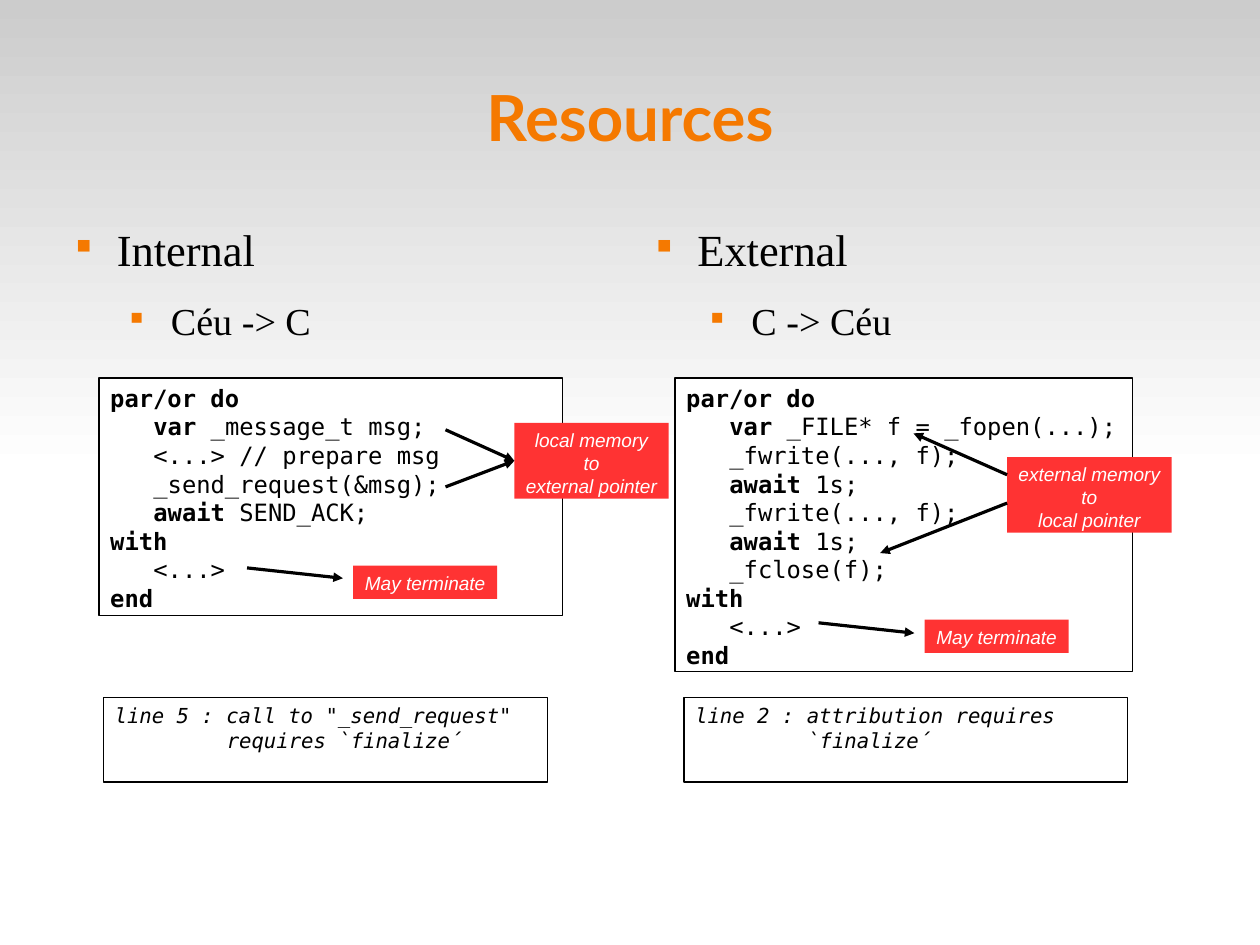
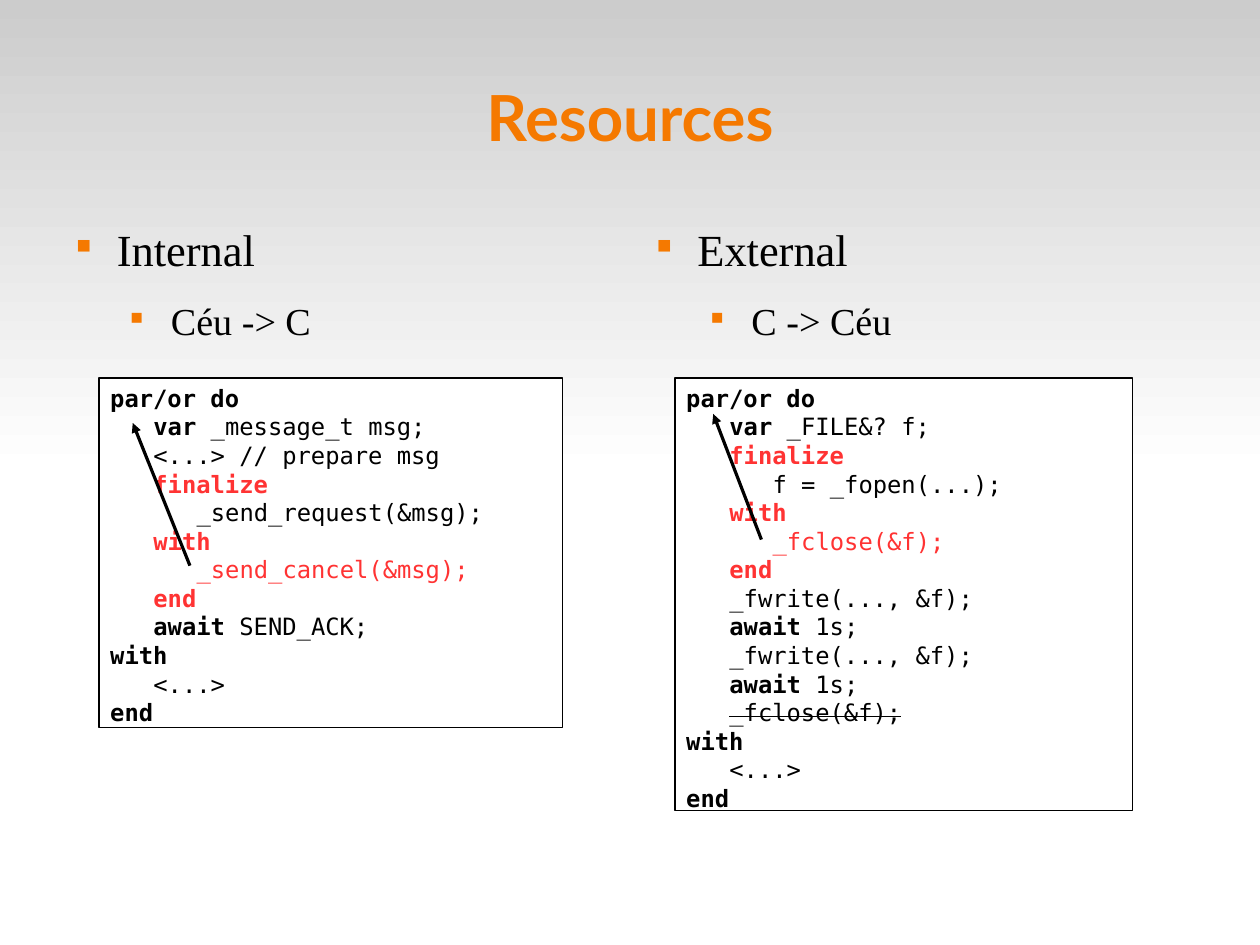
from typing import NamedTuple, Optional

from lxml import etree
from pptx import Presentation
from pptx import util as u
from pptx.dml.color import RGBColor
from pptx.enum import shapes, text
from pptx.oxml import ns

Cm, Pt = u.Cm, u.Pt
BLACK, WHITE, RED, ORANGE, GREY = "000000", "FFFFFF", "FF3333", "F57900", "CCCCCC"
TITLE = dict(name="Lato", size=Pt(40), bold=True)
CODE = dict(name="DejaVu Sans Mono", size=Pt(15))
ERROR = dict(name="DejaVu Sans Mono", size=Pt(13), italic=True)
NOTE = dict(name="Arial", size=Pt(12), italic=True)
FLAT = dict(margin_left=0, margin_right=0, margin_top=0, margin_bottom=0,
            word_wrap=True)
KEYS = ("par/or do", "var", "await", "finalize", "with", "end")
TAB, HANG = 0.96, 2.49
PITCH, PAD = 0.62, 0.32
TOP = 8.4


class Box(NamedTuple):
    x: float
    y: float
    w: float
    h: float


class Line(NamedTuple):
    level: int
    words: str
    color: str = BLACK
    strike: bool = False


class Note(NamedTuple):
    box: Box
    lines: tuple[str, ...]


class Arrow(NamedTuple):
    x: float
    y: float
    to_x: float
    to_y: float
    note: Optional[int] = None  # index of the note whose left side it meets


class Topic(NamedTuple):
    head: str
    sub: str
    left: float
    code_x: float
    code_w: float


class Page(NamedTuple):
    codes: tuple[tuple[Line, ...], ...]
    arrows: tuple[Arrow, ...]
    notes: tuple[Note, ...] = ()
    errors: tuple[str, ...] = ()


TOPICS = (Topic("Internal", "Céu -> C", 1.4, 2.2, 10.3),
          Topic("External", "C -> Céu", 14.3, 15, 10.16))
OPEN = Line(0, "par/or do")
CLOSE = (Line(0, "with"), Line(1, "<...>"), Line(0, "end"))
MSG = (OPEN, Line(1, "var _message_t msg;"), Line(1, "<...> // prepare msg"))
ACK = (Line(1, "await SEND_ACK;"), *CLOSE)
WAIT = Line(1, "await 1s;")

PAGES = (
    Page(
        codes=(
            (*MSG, Line(1, "_send_request(&msg);"), *ACK),
            (OPEN, Line(1, "var _FILE* f = _fopen(...);"),
             *(Line(1, "_fwrite(..., f);"), WAIT) * 2,
             Line(1, "_fclose(f);"), *CLOSE),
        ),
        notes=(
            Note(Box(11.43, 9.4, 3.43, 1.68),
                 ("local memory", "to", "external pointer")),
            Note(Box(22.38, 10.16, 3.66, 1.68),
                 ("external memory", "to", "local pointer")),
            Note(Box(7.85, 12.57, 3.2, 0.74), ("May terminate",)),
            Note(Box(20.55, 13.77, 3.2, 0.74), ("May terminate",)),
        ),
        arrows=(
            Arrow(9.9, 9.55, 11.43, 10.24, 0),
            Arrow(9.9, 10.82, 11.43, 10.24, 0),
            Arrow(22.38, 10.55, 20.3, 9.63),
            Arrow(22.38, 11.18, 19.56, 12.29),
            Arrow(5.49, 12.62, 7.62, 12.85),
            Arrow(18.19, 13.84, 20.32, 14.07),
        ),
        errors=('line 5 : call to "_send_request" requires `finalize´',
                "line 2 : attribution requires `finalize´"),
    ),
    Page(
        codes=(
            (*MSG, Line(1, "finalize", RED), Line(2, "_send_request(&msg);"),
             Line(1, "with", RED), Line(2, "_send_cancel(&msg);", RED),
             Line(1, "end", RED), *ACK),
            (OPEN, Line(1, "var _FILE&? f;"), Line(1, "finalize", RED),
             Line(2, "f = _fopen(...);"), Line(1, "with", RED),
             Line(2, "_fclose(&f);", RED), Line(1, "end", RED),
             *(Line(1, "_fwrite(..., &f);"), WAIT) * 2,
             Line(1, "_fclose(&f);", strike=True), *CLOSE),
        ),
        arrows=(Arrow(4.22, 12.57, 2.95, 9.4),
                Arrow(16.92, 11.99, 15.85, 9.2)),
    ),
)


def rgb(code: str) -> RGBColor:
    return RGBColor.from_string(code)


def apply(item, look: dict) -> None:
    for name, value in look.items():
        setattr(item, name, value)


def sub(node, tag: str, **attrs: str):
    return etree.SubElement(node, ns.qn(tag), attrs)


def write(para, words: str, look: dict, color: str = BLACK):
    run = para.add_run()
    run.text = words
    apply(run.font, look)
    run.font.color.rgb = rgb(color)
    return run


def indent(para, left: float, first: float = 0):
    """Set the left margin and first-line offset in cm."""
    props = para._p.get_or_add_pPr()
    props.set("marL", str(Cm(left)))
    props.set("indent", str(Cm(first)))
    return props


def paras(frame, count: int) -> list:
    return [frame.paragraphs[0], *(frame.add_paragraph() for _ in range(count - 1))]


def place(box: Box) -> tuple:
    return tuple(Cm(n) for n in box)


def panel(slide, box: Box, fill: str, edge: str = ""):
    shape = slide.shapes.add_shape(shapes.MSO_SHAPE.RECTANGLE, *place(box))
    shape.shadow.inherit = False
    shape.fill.solid()
    shape.fill.fore_color.rgb = rgb(fill)
    if edge:
        shape.line.color.rgb = rgb(edge)
        shape.line.width = 0
    else:
        shape.line.fill.background()
    apply(shape.text_frame, dict(vertical_anchor=text.MSO_ANCHOR.TOP, word_wrap=True))
    shape.text_frame.paragraphs[0].alignment = text.PP_ALIGN.LEFT
    return shape


def frame(slide) -> None:
    """Draw the shaded band and the title."""
    band = panel(slide, Box(0, 0, 28, 10.5), GREY)
    band.fill.gradient()
    band.fill.gradient_angle = 270
    for stop, color, spot in zip(band.fill.gradient_stops, (GREY, WHITE), (0, 1)):
        stop.color.rgb = rgb(color)
        stop.position = spot
    body = slide.shapes.add_textbox(*place(Box(1.4, 0.84, 25.2, 3.5))).text_frame
    apply(body, FLAT | dict(vertical_anchor=text.MSO_ANCHOR.MIDDLE))
    para = body.paragraphs[0]
    para.alignment = text.PP_ALIGN.CENTER
    write(para, "Resources", TITLE, ORANGE)


def bullets(slide, topic: Topic) -> None:
    box = Box(topic.left, 4.93, 11.3, 2.72)
    body = slide.shapes.add_textbox(*place(box)).text_frame
    apply(body, FLAT)
    rows = ((topic.head, 28, 14.2), (topic.sub, 24, 11.3))
    for level, (para, (words, size, gap)) in enumerate(zip(paras(body, 2), rows)):
        apply(para, dict(level=level, space_after=Pt(gap)))
        props = indent(para, 1.2 * (level + 1), -0.9)
        sub(sub(props, "a:buClr"), "a:srgbClr", val=ORANGE)
        sub(props, "a:buSzPct", val="45000")
        sub(props, "a:buChar", char="■")
        write(para, words, dict(name="Times New Roman", size=Pt(size)))


def listing(slide, topic: Topic, lines: tuple[Line, ...]) -> None:
    """Draw a code box as tall as its lines, with a leading keyword in bold."""
    box = Box(topic.code_x, TOP, topic.code_w, PITCH * len(lines) + PAD)
    body = panel(slide, box, WHITE, BLACK).text_frame
    for para, line in zip(paras(body, len(lines)), lines):
        para.alignment = text.PP_ALIGN.LEFT
        indent(para, TAB * line.level)
        key = next((k for k in KEYS if line.words.startswith(k)), "")
        for words, bold in ((key, True), (line.words[len(key):], False)):
            if words:
                run = write(para, words, CODE | dict(bold=bold), line.color)
                if line.strike:
                    run.font._element.set("strike", "sngStrike")


def error(slide, topic: Topic, words: str) -> None:
    box = Box(topic.left + 0.9, 15.5, 9.86, 1.88)
    para = panel(slide, box, WHITE, BLACK).text_frame.paragraphs[0]
    indent(para, HANG, -HANG)
    write(para, words, ERROR)


def label(slide, note: Note):
    shape = panel(slide, note.box, RED)
    body = shape.text_frame
    body.word_wrap = False
    for para, words in zip(paras(body, len(note.lines)), note.lines):
        para.alignment = text.PP_ALIGN.CENTER
        write(para, words, NOTE, WHITE)
    return shape


def point(slide, arrow: Arrow, labels: list) -> None:
    link = slide.shapes.add_connector(
        shapes.MSO_CONNECTOR.STRAIGHT, *(Cm(n) for n in arrow[:4]))
    if arrow.note is not None:
        link.end_connect(labels[arrow.note], 1)
    link.line.color.rgb = rgb(BLACK)
    link.line.width = 0
    sub(link.line._get_or_add_ln(), "a:tailEnd", type="triangle")
    sub(link._element.spPr, "a:effectLst")


def build(slide, page: Page) -> None:
    frame(slide)
    for topic, lines in zip(TOPICS, page.codes):
        bullets(slide, topic)
        listing(slide, topic, lines)
    for topic, words in zip(TOPICS, page.errors):
        error(slide, topic, words)
    labels = [label(slide, note) for note in page.notes]
    for arrow in page.arrows:
        point(slide, arrow, labels)


def main() -> None:
    deck = Presentation()
    apply(deck, dict(slide_width=Cm(28), slide_height=Cm(21)))
    for page in PAGES:
        build(deck.slides.add_slide(deck.slide_layouts[6]), page)
    deck.save("out.pptx")


if __name__ == "__main__":
    main()
